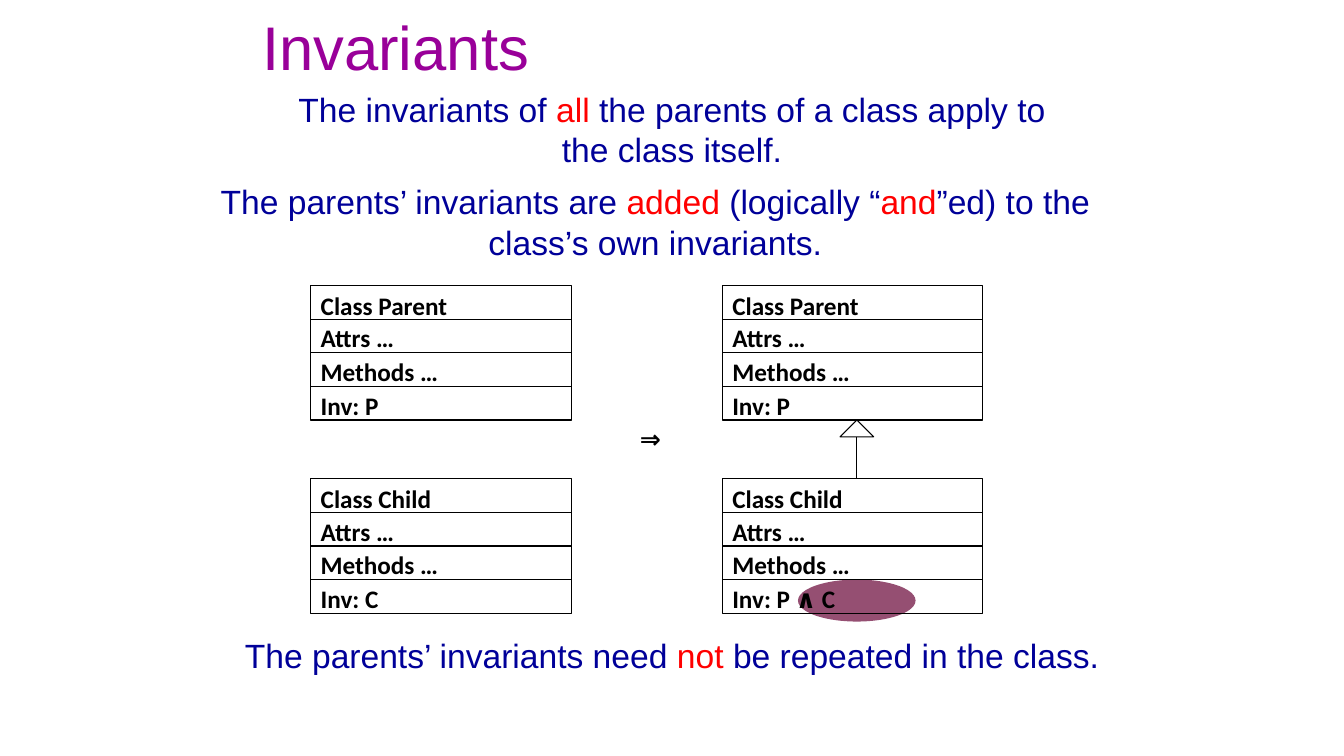
import pptx
import pptx.dml.color
import pptx.enum.shapes
import pptx.enum.text
import pptx.oxml.ns
import pptx.util
from lxml import etree

Pt = pptx.util.Pt
SHAPE = pptx.enum.shapes.MSO_SHAPE
ALIGN = pptx.enum.text.PP_ALIGN
NAVY, RED, BLACK = "000099", "FF0000", "000000"


def color(value):
    return pptx.dml.color.RGBColor.from_string(value)


def add_text(shapes, box, runs, font_name, size, bold=False, alignment=ALIGN.LEFT):
    text_box = shapes.add_textbox(*map(Pt, box))
    text_box.text_frame.word_wrap = True
    paragraph = text_box.text_frame.paragraphs[0]
    paragraph.alignment = alignment
    paragraph.font.name = font_name
    paragraph.font.size = Pt(size)
    paragraph.font.bold = bold
    for text, run_color in runs:
        run = paragraph.add_run()
        run.text = text
        run.font.color.rgb = color(run_color)


presentation = pptx.Presentation()
presentation.slide_width = Pt(960)
presentation.slide_height = Pt(540)
slide = presentation.slides.add_slide(presentation.slide_layouts[5])

title = slide.shapes.title
title.left, title.top, title.width, title.height = map(Pt, (180, 6, 612, 60))
title.text_frame.text = "Invariants"
title.text_frame.auto_size = pptx.enum.text.MSO_AUTO_SIZE.NONE
title.text_frame.vertical_anchor = pptx.enum.text.MSO_ANCHOR.MIDDLE
title_paragraph = title.text_frame.paragraphs[0]
title_paragraph.alignment = ALIGN.LEFT
title_paragraph.line_spacing = 0.9
title_paragraph.font.name = "Arial"
title_paragraph.font.size = Pt(44)
title_paragraph.font.color.rgb = color("990099")

highlight = slide.shapes.add_shape(SHAPE.OVAL, Pt(570), Pt(414), Pt(84), Pt(30))
highlight.shadow.inherit = False
highlight.fill.solid()
highlight.fill.fore_color.rgb = color("954F72")
highlight.line.fill.background()

statements = [
    ((192, 60, 576, 65.5), [
        ("The invariants of ", NAVY), ("all", RED),
        (" the parents of a class apply to the class itself.", NAVY)]),
    ((132, 126, 672, 65.5), [
        ("The parents’ invariants are ", NAVY), ("added", RED),
        (" (logically “", NAVY), ("and", RED),
        ("”ed) to the class’s own invariants.", NAVY)]),
    ((144, 450, 672, 36), [
        ("The parents’ invariants need ", NAVY), ("not ", RED),
        ("be repeated in the class.", NAVY)]),
]
for box, runs in statements:
    add_text(slide.shapes, box, runs, "Arial", 24, alignment=ALIGN.CENTER)

row_height, class_width = 24, 186
outlines = []
connectors = []
class_boxes = [
    (222, 204, "Class Parent", "Inv: P"),
    (222, 342, "Class Child", "Inv: C"),
    (516, 204, "Class Parent", "Inv: P"),
    (516, 342, "Class Child", "Inv: P ∧ C"),
]
for left, top, name, invariant in class_boxes:
    group = slide.shapes.add_group_shape()
    outlines.append(group.shapes.add_shape(
        SHAPE.RECTANGLE, Pt(left), Pt(top), Pt(class_width), Pt(4 * row_height)))
    for row, text in enumerate([name, "Attrs …", "Methods …", invariant]):
        row_top = top + row * row_height
        if row:
            connectors.append(group.shapes.add_connector(
                pptx.enum.shapes.MSO_CONNECTOR.STRAIGHT,
                Pt(left), Pt(row_top), Pt(left + class_width), Pt(row_top)))
        add_text(group.shapes, (left, row_top - min(row, 1), 180 if row == 0 else 150, 29),
                 [(text, BLACK)], "Calibri", 18, bold=True)

inheritance = slide.shapes.add_group_shape()
connectors.append(inheritance.shapes.add_connector(
    pptx.enum.shapes.MSO_CONNECTOR.STRAIGHT, Pt(612), Pt(342), Pt(612), Pt(312)))
outlines.append(inheritance.shapes.add_shape(
    SHAPE.ISOSCELES_TRIANGLE, Pt(600), Pt(300), Pt(24), Pt(12)))

for outline in outlines:
    outline.shadow.inherit = False
    outline.fill.background()
for connector in connectors:
    etree.SubElement(connector._element.spPr, pptx.oxml.ns.qn("a:effectLst"))
for shape in outlines + connectors:
    shape.line.color.rgb = color(BLACK)
    shape.line.width = Pt(0.75)

add_text(slide.shapes, (450, 299, 42, 29), [("⇒", BLACK)], "Calibri", 18, bold=True)

presentation.save("out.pptx")
